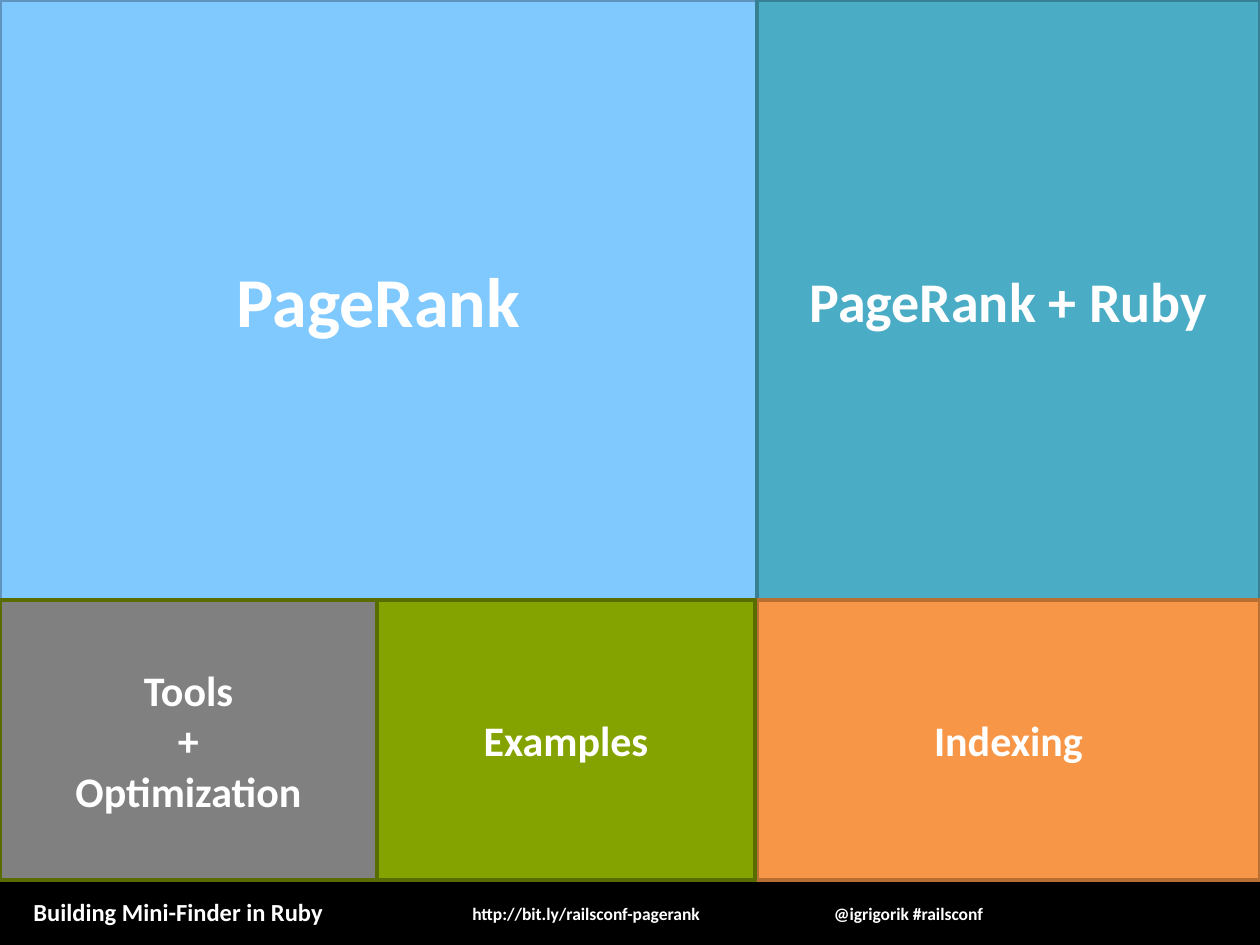
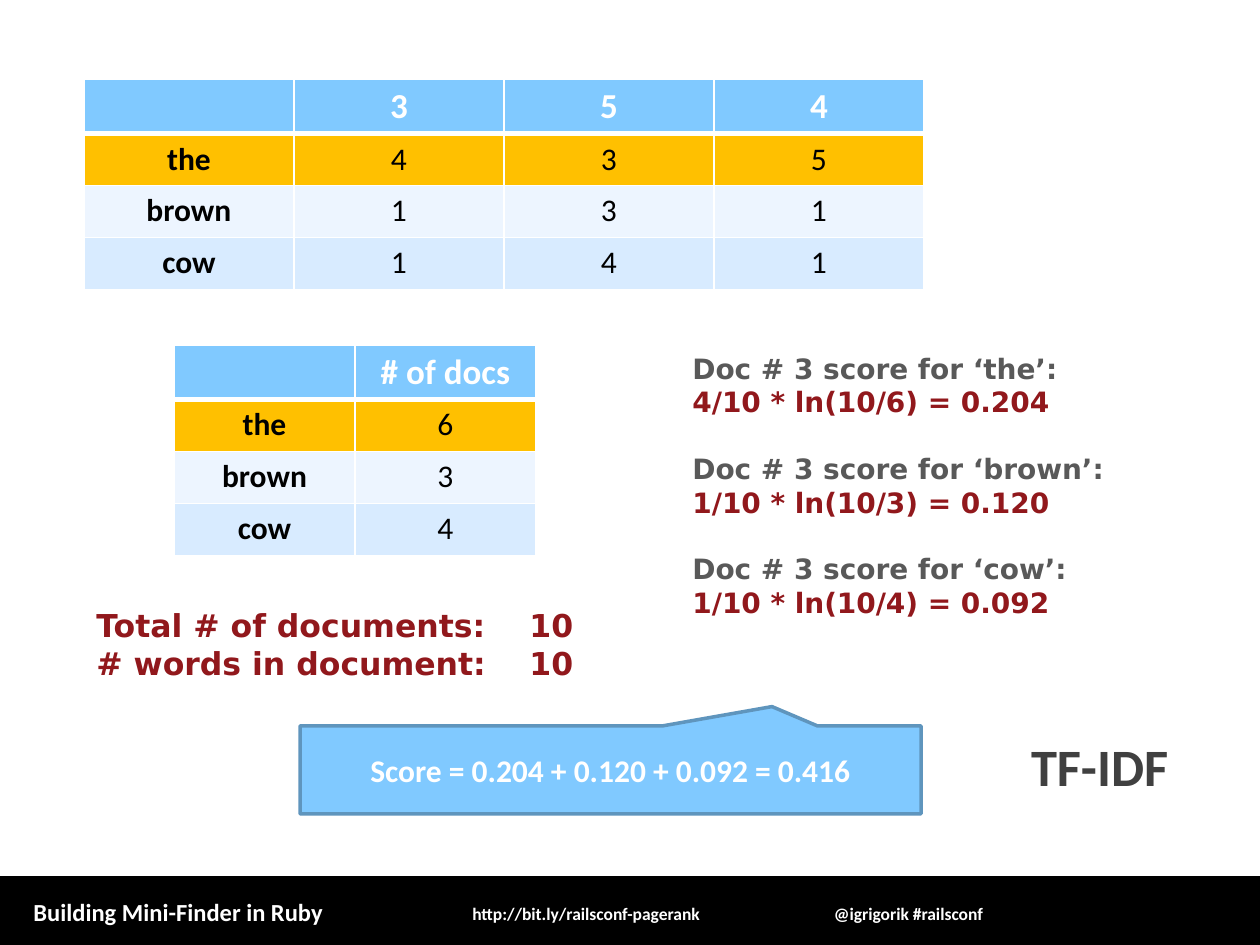
from lxml.etree import SubElement
from pptx import Presentation
from pptx.dml.color import RGBColor
from pptx.enum.shapes import MSO_SHAPE as Shape
from pptx.enum.text import MSO_ANCHOR as Anchor, PP_ALIGN as Align
from pptx.oxml.ns import qn
from pptx.util import Emu, Pt

PX_PER_INCH = 126
WIDTH, HEIGHT = 1260, 945
BODY_FONT = "Calibri"
NOTE_FONT = "DejaVu Sans"
COLORS = {
    "white": "FFFFFF", "black": "000000",
    "sky": "80C9FF", "sky_edge": "5F95BD",
    "teal": "4BACC6", "teal_edge": "377F92",
    "orange": "F79646", "orange_edge": "B76F34",
    "green": "85A300", "green_edge": "596C00",
    "gray": "808080", "title": "404040", "label": "595959",
    "red": "91181C", "gold": "FFC000",
    "band_light": "EDF5FF", "band_dark": "D8EBFF",
}
ROW_FILLS = ["sky", "gold", "band_light", "band_dark"]
ROW_HEIGHT = 52


def px(length):
    return Emu(round(length * 914400 / PX_PER_INCH))


def place(box):
    return [px(length) for length in box]


def color(name):
    return RGBColor.from_string(COLORS[name])


def style(para, size, ink, align=Align.LEFT, face=BODY_FONT, bold=True):
    para.alignment = align
    font = para.font
    font.name, font.size, font.bold = face, Pt(size), bold
    font.color.rgb = color(ink)


def add_lines(frame, lines):
    """Write each line as a paragraph and return the paragraphs."""
    frame.word_wrap = True
    paras = [frame.paragraphs[0]]
    paras += [frame.add_paragraph() for _ in lines[1:]]
    for para, line in zip(paras, lines):
        para.text = line
    return paras


def add_text(page, box, lines):
    return add_lines(page.shapes.add_textbox(*place(box)).text_frame, lines)


def add_block(page, box, fill, edge, lines=(), size=18, kind=Shape.RECTANGLE):
    """Add a filled, outlined shape with centred white text."""
    block = page.shapes.add_shape(kind, *place(box))
    block.shadow.inherit = False
    block.fill.solid()
    block.fill.fore_color.rgb = color(fill)
    block.line.color.rgb = color(edge)
    block.line.width = Pt(2)
    block.text_frame.vertical_anchor = Anchor.MIDDLE
    if lines:
        for para in add_lines(block.text_frame, lines):
            style(para, size, "white", Align.CENTER)
    return block


def add_footer(page):
    top = 878
    add_block(page, (0, top, WIDTH, HEIGHT - top), "black", "black")
    for left, drop, width, height, line, size, align in [
        (21, 13, 495, 43, "Building Mini-Finder in Ruby", 14, Align.LEFT),
        (782, 19, 253, 34, "@igrigorik #railsconf", 10, Align.CENTER),
        (440, 19, 292, 34, "http://bit.ly/railsconf-pagerank", 10, Align.CENTER),
    ]:
        [para] = add_text(page, (left, top + drop, width, height), [line])
        style(para, size, "white", align)


def set_borders(cell, row):
    """Draw white cell borders, heavier under the header row."""
    weights = {"a:lnL": 1, "a:lnR": 1,
               "a:lnT": 3 if row == 1 else 1, "a:lnB": 3 if row == 0 else 1}
    props = cell._tc.get_or_add_tcPr()
    for tag, weight in weights.items():
        border = SubElement(props, qn(tag), w=str(Pt(weight)))
        fill = SubElement(border, qn("a:solidFill"))
        SubElement(fill, qn("a:srgbClr"), val=COLORS["white"])


def add_word_table(page, left, top, column_width, rows):
    columns = len(rows[0])
    box = (left, top, column_width * columns, ROW_HEIGHT * len(rows))
    table = page.shapes.add_table(len(rows), columns, *place(box)).table
    for row, values in enumerate(rows):
        table.rows[row].height = px(ROW_HEIGHT)
        for column, value in enumerate(values):
            cell = table.cell(row, column)
            set_borders(cell, row)
            cell.fill.solid()
            cell.fill.fore_color.rgb = color(ROW_FILLS[row])
            cell.text = value
            header = row == 0
            style(cell.text_frame.paragraphs[0], 20 if header else 18,
                  "white" if header else "black", Align.CENTER,
                  bold=header or column == 0)


def add_totals(page, box):
    paras = add_text(page, box, ["Total # of documents:\t10",
                                 "# words in document:\t10"])
    for para in paras:
        tabs = SubElement(para._p.get_or_add_pPr(), qn("a:tabLst"))
        SubElement(tabs, qn("a:tab"), pos=str(px(433)), algn="l")
        style(para, 18, "red", face=NOTE_FONT)


def add_scores(page, box, scores):
    lines = []
    for word, formula in scores:
        lines += [f"Doc # 3 score for ‘{word}’:", formula]
    for index, para in enumerate(add_text(page, box, lines)):
        is_label = index % 2 == 0
        if is_label and index:
            para.space_before = Pt(19)
        style(para, 16, "label" if is_label else "red", face=NOTE_FONT)


def set_title(page, box, words):
    title = page.shapes.title
    title.left, title.top, title.width, title.height = place(box)
    title.text_frame.vertical_anchor = Anchor.BOTTOM
    [para] = add_lines(title.text_frame, [words])
    style(para, 30, "title", Align.RIGHT)


def build_agenda(deck):
    page = deck.slides.add_slide(deck.slide_layouts[6])
    add_footer(page)
    middle, right, split, bottom = 377, 757, 600, 880
    low = bottom - split
    add_block(page, (0, 0, right, split), "sky", "sky_edge", ["PageRank"], 40)
    add_block(page, (right, 0, WIDTH - right, split), "teal", "teal_edge",
              ["PageRank + Ruby"], 32)
    add_block(page, (right, split, WIDTH - right, low), "orange",
              "orange_edge", ["Indexing"], 24)
    add_block(page, (middle, split, 378, low), "green", "green_edge",
              ["Examples"], 24)
    add_block(page, (0, split, middle, low), "gray", "green_edge",
              ["Tools", "+", "Optimization"], 24)


def build_tf_idf(deck):
    page = deck.slides.add_slide(deck.slide_layouts[5])
    add_footer(page)
    set_title(page, (110, 596, 1071, 207), "TF-IDF")
    callout = add_block(page, (300, 726, 621, 88), "sky", "sky_edge",
                        ["Score = 0.204 + 0.120 + 0.092 = 0.416"],
                        kind=Shape.RECTANGULAR_CALLOUT)
    callout.adjustments[0] = 0.26
    callout.adjustments[1] = -0.72
    add_word_table(page, 174, 345, 181, [
        ["", "# of docs"], ["the", "6"], ["brown", "3"], ["cow", "4"]])
    add_word_table(page, 84, 79, 210, [
        ["", "3", "5", "4"],
        ["the", "4", "3", "5"],
        ["brown", "1", "3", "1"],
        ["cow", "1", "4", "1"]])
    add_totals(page, (84, 600, 546, 89))
    add_scores(page, (680, 345, 546, 323), [
        ("the", "4/10 * ln(10/6) = 0.204"),
        ("brown", "1/10 * ln(10/3) = 0.120"),
        ("cow", "1/10 * ln(10/4) = 0.092")])


def main():
    deck = Presentation()
    deck.slide_width, deck.slide_height = px(WIDTH), px(HEIGHT)
    build_agenda(deck)
    build_tf_idf(deck)
    deck.save("out.pptx")


if __name__ == "__main__":
    main()
